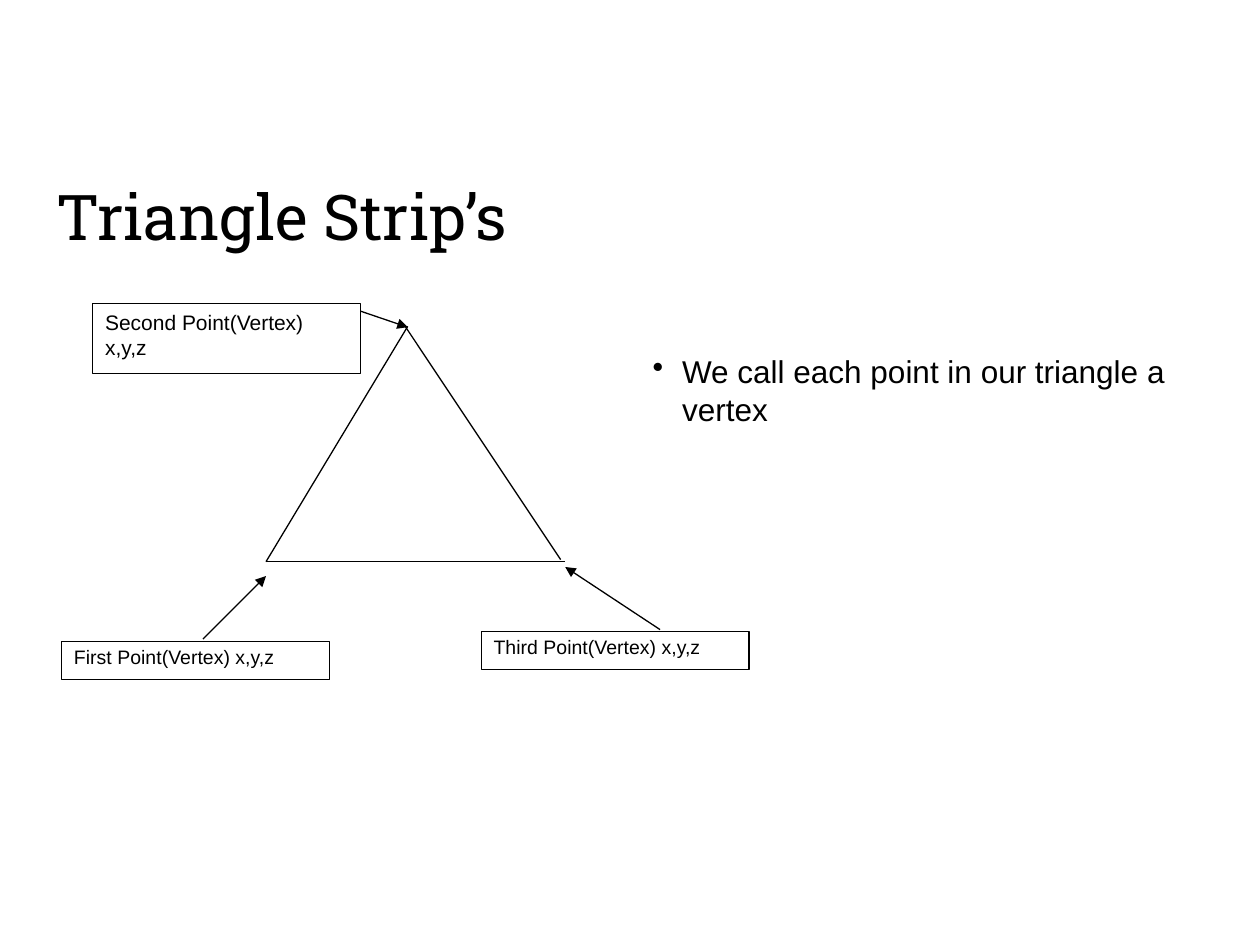
import pptx
import pptx.dml.color
import pptx.enum.shapes
import pptx.enum.text
import pptx.oxml
import pptx.oxml.ns
import pptx.util

Pt = pptx.util.Pt
Anchor = pptx.enum.text.MSO_ANCHOR
BLACK, WHITE = "000000", "FFFFFF"
TITLE = "Triangle Strip’s"
NOTE = "We call each point in our triangle a vertex"
INDENT = 16.9

LABELS = [
    ("First Point(Vertex) x,y,z", 35.2, 366.6, 21.8, 11.1, 0.9),
    ("Second Point(Vertex) x,y,z", 53, 173.4, 39.9, 12, 1),
    ("Third Point(Vertex) x,y,z", 275, 360.8, 21.7, 11.1, 0.9),
]
WIDTH = 153
SIDES = [
    (233, 186.5, 152, 321),
    (152, 321, 323, 321),
    (230.8, 185.4, 320.4, 319.8),
]
ARROWS = [
    (116, 365.2, 152, 329.2),
    (206, 177.8, 233, 187),
    (377.2, 359.8, 323, 324),
]


def tint(code):
    return pptx.dml.color.RGBColor.from_string(code)


def node(tag, **attrs):
    item = pptx.oxml.parse_xml(f"<a:{tag} {pptx.oxml.ns.nsdecls('a')}/>")
    for key, value in attrs.items():
        item.set(key, value)
    return item


def write(frame, text, size, face, anchor):
    frame.word_wrap = True
    frame.vertical_anchor = anchor
    para = frame.paragraphs[0]
    para.alignment = pptx.enum.text.PP_ALIGN.LEFT
    run = para.add_run()
    run.text = text
    run.font.size = Pt(size)
    run.font.name = face
    run.font.color.rgb = tint(BLACK)
    return para


def stroke(line):
    line.color.rgb = tint(BLACK)
    line.width = Pt(0.75)


def link(shapes, ends, arrow):
    line = shapes.add_connector(
        pptx.enum.shapes.MSO_CONNECTOR.STRAIGHT, *map(Pt, ends))
    stroke(line.line)
    if arrow:
        line.line._get_or_add_ln().append(node("tailEnd", type="triangle"))
    line._element.spPr.append(node("effectLst"))


def label(shapes, text, left, top, height, size, pitch):
    box = shapes.add_shape(
        pptx.enum.shapes.MSO_SHAPE.RECTANGLE,
        Pt(left), Pt(top), Pt(WIDTH), Pt(height))
    box.shadow.inherit = False
    box.fill.solid()
    box.fill.fore_color.rgb = tint(WHITE)
    stroke(box.line)
    para = write(box.text_frame, text, size, "Arial", Anchor.TOP)
    para.line_spacing = pitch


def main():
    deck = pptx.Presentation()
    deck.slide_width, deck.slide_height = Pt(720), Pt(540)
    slide = deck.slides.add_slide(deck.slide_layouts[5])
    shapes = slide.shapes

    title = shapes.title
    title.left, title.top = Pt(25.2), Pt(77.8)
    title.width, title.height = Pt(663), Pt(90)
    write(title.text_frame, TITLE, 36, "Roboto Slab", Anchor.MIDDLE)

    for ends in SIDES:
        link(shapes, ends, False)
    for item in LABELS:
        label(shapes, *item)
    for ends in ARROWS:
        link(shapes, ends, True)

    note = shapes.add_textbox(Pt(365.8), Pt(190), Pt(317.5), Pt(83.5))
    note.text_frame.margin_top = Pt(11.3)
    para = write(note.text_frame, NOTE, 18, "Arial", Anchor.TOP)
    props = para._p.get_or_add_pPr()
    props.set("marL", str(Pt(INDENT)))
    props.set("indent", str(-Pt(INDENT)))
    props.append(node("buChar", char="•"))

    deck.save("out.pptx")


if __name__ == "__main__":
    main()
